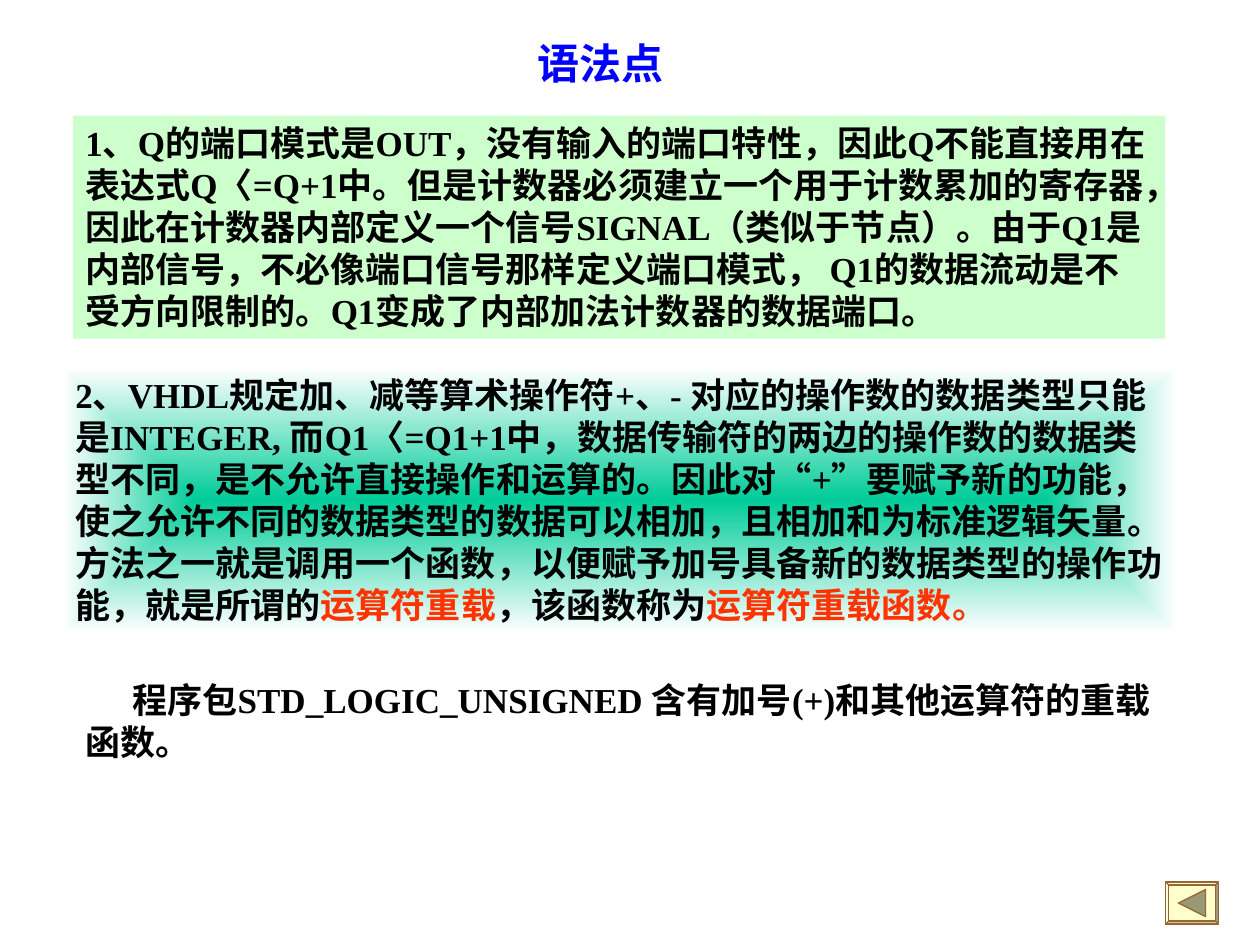
"""Builds a slide of VHDL syntax notes on ports and operator overloading."""
from dataclasses import dataclass
from typing import Optional

from pptx import Presentation
from pptx.dml.color import RGBColor
from pptx.enum.dml import MSO_LINE
from pptx.enum.shapes import MSO_SHAPE
from pptx.enum.text import MSO_ANCHOR, MSO_AUTO_SIZE, PP_ALIGN
from pptx.oxml import parse_xml
from pptx.oxml.ns import nsdecls
from pptx.util import Cm, Pt


@dataclass(frozen=True)
class Theme:
    font: str = "Times New Roman"
    title: int = 24
    body: int = 20
    ink: str = "000000"
    blue: str = "0000FF"
    red: str = "FF3300"
    mint: str = "CCFFCC"
    teal: str = "00CC99"
    white: str = "FFFFFF"
    cream: str = "FFFFCC"
    brown: str = "996633"
    olive: str = "999978"


@dataclass(frozen=True)
class Run:
    text: str
    color: str


@dataclass(frozen=True)
class Block:
    left: float
    top: float
    width: float
    height: float
    runs: tuple[Run, ...]
    size: int
    fill: Optional[str] = None
    glow: Optional[str] = None
    wrap: bool = True
    indent: float = 0


THEME = Theme()

BLOCKS = (
    Block(1.47, 2.33, 22.02, 4.5, (
        Run("1、Q的端口模式是OUT，没有输入的端口特性，因此Q不能直接用在表达式Q〈=Q+1中。"
            "但是计数器必须建立一个用于计数累加的寄存器，因此在计数器内部定义一个信号SIGNAL"
            "（类似于节点）。由于Q1是内部信号，不必像端口信号那样定义端口模式， "
            "Q1的数据流动是不受方向限制的。Q1变成了内部加法计数器的数据端口。", THEME.ink),
    ), THEME.body, fill=THEME.mint),
    Block(1.27, 7.41, 22.44, 5.33, (
        Run("2、VHDL规定加、减等算术操作符+、- 对应的操作数的数据类型只能是INTEGER, "
            "而Q1〈=Q1+1中，数据传输符的两边的操作数的数据类型不同，是不允许直接操作和运算的。"
            "因此对“+”要赋予新的功能， 使之允许不同的数据类型的数据可以相加，"
            "且相加和为标准逻辑矢量。方法之一就是调用一个函数，"
            "以便赋予加号具备新的数据类型的操作功能，就是所谓的", THEME.ink),
        Run("运算符重载", THEME.red),
        Run("，该函数称为", THEME.ink),
        Run("运算符重载函数。", THEME.red),
    ), THEME.body, fill=THEME.white, glow=THEME.teal),
    Block(10.58, 0.64, 3.05, 1.27, (Run("语法点", THEME.blue),), THEME.title, wrap=False),
    Block(1.47, 13.55, 22.44, 1.96, (
        Run("程序包STD_LOGIC_UNSIGNED 含有加号(+)和其他运算符的重载函数。", THEME.ink),
    ), THEME.body, indent=0.95),
)


def paint(shape, fill: str, line: Optional[str] = None) -> None:
    shape.shadow.inherit = False
    shape.fill.solid()
    shape.fill.fore_color.rgb = RGBColor.from_string(fill)
    if line:
        shape.line.color.rgb = RGBColor.from_string(line)
        shape.line.width = Pt(0.75)
        shape.line.dash_style = MSO_LINE.SOLID
    else:
        shape.line.fill.background()


def shine(shape, inner: str, outer: str) -> None:
    grad = parse_xml(
        f'<a:gradFill {nsdecls("a")} rotWithShape="1"><a:gsLst>'
        f'<a:gs pos="0"><a:srgbClr val="{inner}"/></a:gs>'
        f'<a:gs pos="100000"><a:srgbClr val="{outer}"/></a:gs></a:gsLst>'
        '<a:path path="rect"><a:fillToRect l="50000" t="50000" r="50000" b="50000"/>'
        '</a:path></a:gradFill>')
    solid = shape.fill._xPr.solidFill
    solid.getparent().replace(solid, grad)


def write(para, text: str, *, size: int, color: str, bold: bool = True) -> None:
    run = para.add_run()
    run.text = text
    run.font.name = THEME.font
    run.font.size = Pt(size)
    run.font.bold = bold
    run.font.color.rgb = RGBColor.from_string(color)


def draw(slide, block: Block) -> None:
    place = [Cm(n) for n in (block.left, block.top, block.width, block.height)]
    if block.fill:
        shape = slide.shapes.add_shape(MSO_SHAPE.RECTANGLE, *place)
        paint(shape, block.fill)
        if block.glow:
            shine(shape, block.glow, block.fill)
    else:
        shape = slide.shapes.add_textbox(*place)
    frame = shape.text_frame
    frame.word_wrap = block.wrap
    frame.auto_size = MSO_AUTO_SIZE.SHAPE_TO_FIT_TEXT
    frame.vertical_anchor = MSO_ANCHOR.TOP
    para = frame.paragraphs[0]
    para.alignment = PP_ALIGN.LEFT
    if block.indent:
        para._p.get_or_add_pPr().set("indent", str(Cm(block.indent)))
    for run in block.runs:
        write(para, run.text, size=block.size, color=run.color)


def button(slide, left: float, top: float, width: float, height: float) -> None:
    frame = slide.shapes.add_shape(
        MSO_SHAPE.BEVEL, Cm(left), Cm(top), Cm(width), Cm(height))
    frame.adjustments[0] = 0.07
    paint(frame, THEME.cream, THEME.brown)
    mid_x, mid_y, half = left + width / 2, top + height / 2, height * 0.32
    pen = slide.shapes.build_freeform(Cm(mid_x - half), Cm(mid_y))
    pen.add_line_segments([(Cm(mid_x + half), Cm(mid_y - half)),
                           (Cm(mid_x + half), Cm(mid_y + half))], close=True)
    paint(pen.convert_to_shape(), THEME.olive, THEME.brown)


def main() -> None:
    deck = Presentation()
    deck.slide_width, deck.slide_height = Cm(25.4), Cm(19.05)
    slide = deck.slides.add_slide(deck.slide_layouts[6])
    for block in BLOCKS:
        draw(slide, block)
    button(slide, 23.5, 17.78, 1.06, 0.85)
    deck.save("out.pptx")


if __name__ == "__main__":
    main()
